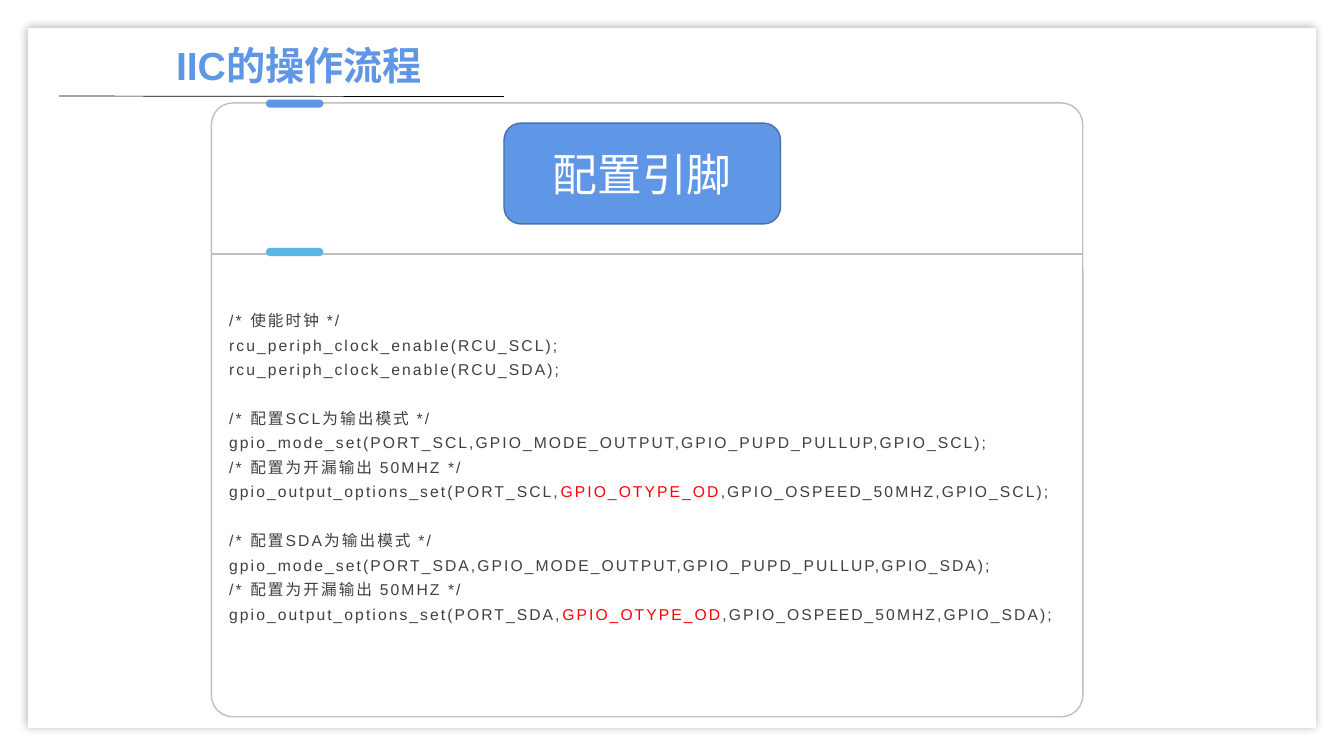
from lxml import etree
from pptx import Presentation
from pptx import util as u
from pptx.dml.color import RGBColor
from pptx.enum import shapes, text
from pptx.oxml import ns, parse_xml

TITLE = "IIC的操作流程"
STEP = "配置引脚"
HIGHLIGHT = "GPIO_OTYPE_OD"
CODE_GROUPS = [
    [
        "/* 使能时钟 */",
        "rcu_periph_clock_enable(RCU_SCL);",
        "rcu_periph_clock_enable(RCU_SDA);",
    ],
] + [
    [
        f"/* 配置{pin}为输出模式 */",
        f"gpio_mode_set(PORT_{pin},GPIO_MODE_OUTPUT,GPIO_PUPD_PULLUP,GPIO_{pin});",
        "/* 配置为开漏输出 50MHZ */",
        f"gpio_output_options_set(PORT_{pin},{HIGHLIGHT},GPIO_OSPEED_50MHZ,GPIO_{pin});",
    ]
    for pin in ("SCL", "SDA")
]

THEME = {
    "font": "Arial",
    "white": "FFFFFF",
    "ink": "404040",
    "blue": "6096E6",
    "blue_edge": "476FAA",
    "sky": "58B6E5",
    "grey": "BFBFBF",
    "black": "000000",
    "red": "FF0000",
    "title_size": 28,
    "step_size": 32,
    "code_size": 11.2,
}

WIDTH, HEIGHT = 960, 540
MARGIN = 20
CARD = (151, 73.5, 622.5, 438.5)
DIVIDER_Y = 181.5
TAB_X, TAB_WIDTH, TAB_HEIGHT = 190, 41, 5.8
GROUP_GAP = 17.5

SHADOW = (
    f'<a:effectLst {ns.nsdecls("a")}><a:outerShdw blurRad="76200" dist="0" dir="0" '
    'algn="ctr" rotWithShape="0"><a:srgbClr val="404040"><a:alpha val="41000"/>'
    "</a:srgbClr></a:outerShdw></a:effectLst>"
)


def color(name):
    return RGBColor.from_string(THEME[name])


def place(shape, left, top, width, height):
    shape.left, shape.top = u.Pt(left), u.Pt(top)
    shape.width, shape.height = u.Pt(width), u.Pt(height)


def style_font(font, size, name, bold=False):
    font.name = THEME["font"]
    font.size = u.Pt(THEME[size])
    font.color.rgb = color(name)
    font.bold = bold


def add_box(slide, kind, box, fill=None, line=None, radius=None):
    shape = slide.shapes.add_shape(kind, *map(u.Pt, box))
    shape.shadow.inherit = False
    if radius is not None:
        shape.adjustments[0] = radius
    if fill:
        shape.fill.solid()
        shape.fill.fore_color.rgb = color(fill)
    else:
        shape.fill.background()
    if line:
        shape.line.color.rgb = color(line)
        shape.line.width = u.Pt(1)
    else:
        shape.line.fill.background()
    return shape


def add_line(slide, start, end, name, width):
    line = slide.shapes.add_connector(
        shapes.MSO_CONNECTOR.STRAIGHT, *map(u.Pt, start + end)
    )
    line.line.color.rgb = color(name)
    line.line.width = u.Pt(width)
    etree.SubElement(line._element.spPr, ns.qn("a:effectLst"))


def add_panel(slide):
    box = (MARGIN, MARGIN, WIDTH - 2 * MARGIN, HEIGHT - 2 * MARGIN)
    panel = add_box(slide, shapes.MSO_SHAPE.RECTANGLE, box, "white")
    properties = panel._element.spPr
    properties.remove(properties.find(ns.qn("a:effectLst")))
    properties.append(parse_xml(SHADOW))
    slide.shapes._spTree.insert(2, panel._element)


def fill_title(title):
    place(title, 88, 26, 251, 41)
    frame = title.text_frame
    frame.text = TITLE
    frame.auto_size = text.MSO_AUTO_SIZE.NONE
    frame.vertical_anchor = text.MSO_ANCHOR.MIDDLE
    paragraph = frame.paragraphs[0]
    paragraph.alignment = text.PP_ALIGN.CENTER
    style_font(paragraph.font, "title_size", "blue", True)


def add_code_run(paragraph, words, name):
    run = paragraph.add_run()
    run.text = words
    style_font(run.font, "code_size", name)
    run._r.get_or_add_rPr().set("spc", "150")


def fill_code(body):
    place(body, 156.5, 214.5, 617.5, 268.5)
    frame = body.text_frame
    frame.word_wrap = True
    frame.auto_size = text.MSO_AUTO_SIZE.NONE
    frame.vertical_anchor = text.MSO_ANCHOR.TOP
    for group_index, group in enumerate(CODE_GROUPS):
        for line_index, line in enumerate(group):
            first = group_index == line_index == 0
            paragraph = frame.paragraphs[0] if first else frame.add_paragraph()
            properties = paragraph._p.get_or_add_pPr()
            properties.set("marL", "0")
            properties.set("indent", "0")
            etree.SubElement(properties, ns.qn("a:buNone"))
            paragraph.alignment = text.PP_ALIGN.LEFT
            paragraph.line_spacing = 1.3
            new_group = group_index > 0 and line_index == 0
            paragraph.space_before = u.Pt(GROUP_GAP if new_group else 0)
            before, marked, after = line.partition(HIGHLIGHT)
            for words, name in ((before, "ink"), (marked, "red"), (after, "ink")):
                if words:
                    add_code_run(paragraph, words, name)


def add_step(slide):
    rounded = shapes.MSO_SHAPE.ROUNDED_RECTANGLE
    step = add_box(slide, rounded, (360, 88, 197.5, 72), "blue", "blue_edge")
    frame = step.text_frame
    frame.text = STEP
    frame.vertical_anchor = text.MSO_ANCHOR.MIDDLE
    paragraph = frame.paragraphs[0]
    paragraph.alignment = text.PP_ALIGN.CENTER
    style_font(paragraph.font, "step_size", "white")


def main():
    presentation = Presentation()
    presentation.slide_width, presentation.slide_height = u.Pt(WIDTH), u.Pt(HEIGHT)
    slide = presentation.slides.add_slide(presentation.slide_layouts[1])
    rounded = shapes.MSO_SHAPE.ROUNDED_RECTANGLE
    left, top, width, height = CARD

    add_panel(slide)
    fill_title(slide.shapes.title)
    fill_code(slide.placeholders[1])
    add_line(slide, (42, 68.6), (360, 69), "black", 0.5)
    add_box(slide, rounded, CARD, line="grey", radius=0.035)
    add_line(slide, (left, DIVIDER_Y), (left + width, DIVIDER_Y), "grey", 1)
    for tab_y, name in ((top + 0.5, "blue"), (DIVIDER_Y - 1.5, "sky")):
        box = (TAB_X, tab_y - TAB_HEIGHT / 2, TAB_WIDTH, TAB_HEIGHT)
        add_box(slide, rounded, box, name, radius=0.5)
    add_step(slide)
    presentation.save("out.pptx")


if __name__ == "__main__":
    main()
